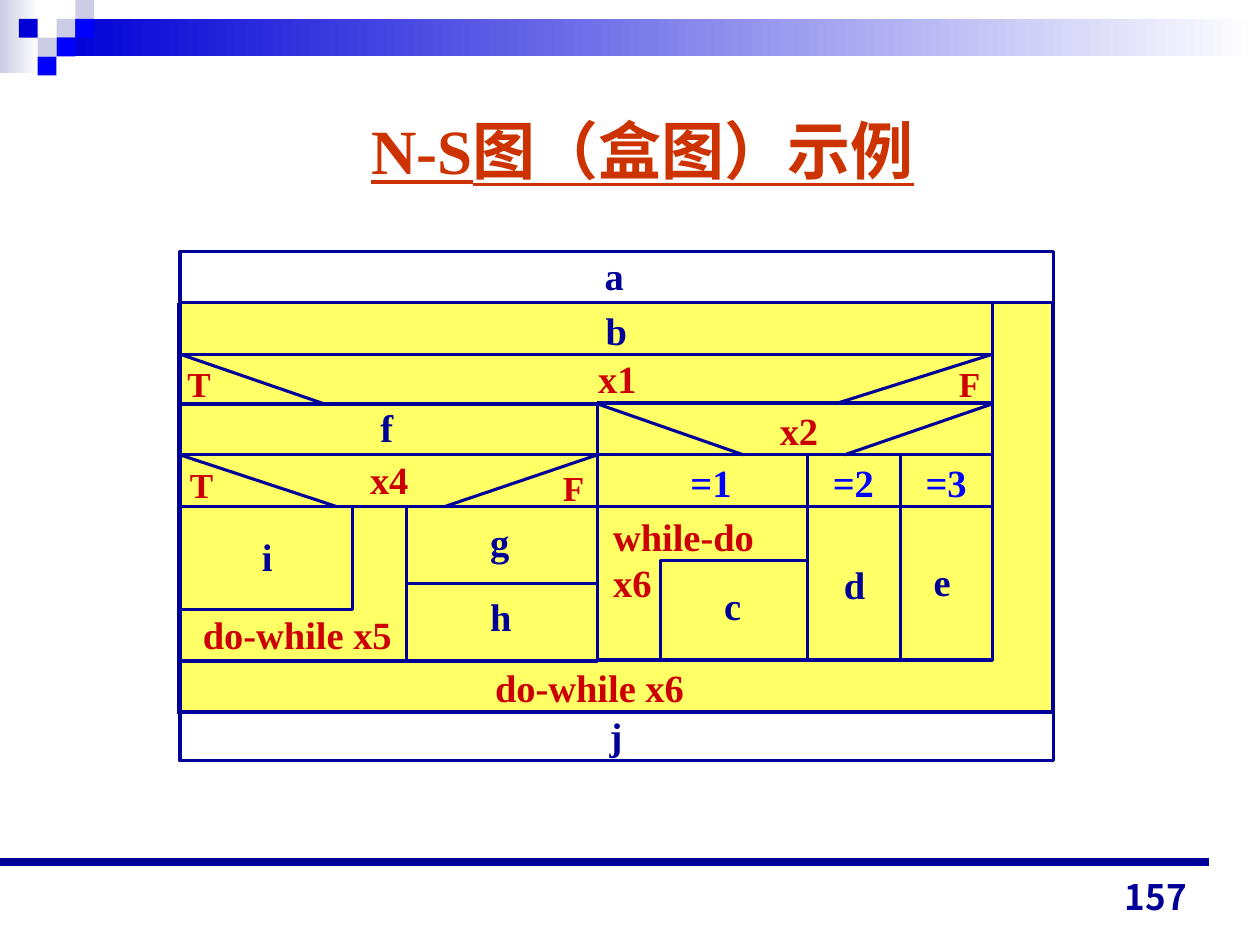
from typing import NamedTuple

from lxml.etree import SubElement
from pptx import Presentation
from pptx.dml.color import RGBColor
from pptx.enum.shapes import MSO_CONNECTOR, MSO_SHAPE
from pptx.enum.text import MSO_ANCHOR, MSO_AUTO_SIZE, PP_ALIGN
from pptx.oxml.ns import qn
from pptx.util import Cm, Pt

NAVY, RED, BLUE = "000099", "CC0000", "0000FF"
YELLOW, DEEP_BLUE, LAVENDER = "FFFF66", "0000D6", "CCCCE6"
SERIF, SANS = "Times New Roman", "Noto Sans CJK JP"
THIN, THICK = 0.75, 1.75
SQUARE = 0.38

LEFT, MIDDLE, INNER_RIGHT, RIGHT = 3.63, 12.04, 20.01, 21.23
TOP, ROW_B, ROW_X1, ROW_F, ROW_X4, ROW_G = 5.08, 6.10, 7.14, 8.14, 9.17, 10.21
INNER_BOTTOM, ROW_J, BOTTOM = 13.31, 14.35, 15.34
COLUMN_G, COLUMN_D, COLUMN_E = 8.20, 16.28, 18.16
ROW_H = 11.76


class Box(NamedTuple):
    left: float
    top: float
    right: float
    bottom: float
    fill: str | None = None
    weight: float = THICK


class Line(NamedTuple):
    start_x: float
    start_y: float
    end_x: float
    end_y: float
    weight: float = THICK


class Label(NamedTuple):
    lines: tuple[str, ...]
    left: float
    top: float
    width: float
    height: float = 1.19
    color: str = NAVY
    size: float = 22
    font: str = SERIF
    align: PP_ALIGN = PP_ALIGN.LEFT
    anchor: MSO_ANCHOR = MSO_ANCHOR.TOP
    wrap: bool = False
    underline: bool = False


def rgb(color: str) -> RGBColor:
    return RGBColor.from_string(color)


def add_rectangle(shapes, left: float, top: float, width: float, height: float):
    shape = shapes.add_shape(MSO_SHAPE.RECTANGLE, Cm(left), Cm(top), Cm(width), Cm(height))
    shape.shadow.inherit = False
    shape.line.fill.background()
    return shape


def add_gradient(shapes, left: float, top: float, width: float, height: float, color: str) -> None:
    shape = add_rectangle(shapes, left, top, width, height)
    shape.fill.gradient()
    shape.fill.gradient_angle = 0
    for stop, stop_color in zip(shape.fill.gradient_stops, (color, "FFFFFF")):
        stop.color.rgb = rgb(stop_color)


def add_square(shapes, column: int, row: int, color: str) -> None:
    shape = add_rectangle(shapes, column * SQUARE, row * SQUARE, SQUARE, SQUARE)
    shape.fill.solid()
    shape.fill.fore_color.rgb = rgb(color)


def add_box(shapes, box: Box) -> None:
    shape = add_rectangle(shapes, box.left, box.top, box.right - box.left, box.bottom - box.top)
    if box.fill:
        shape.fill.solid()
        shape.fill.fore_color.rgb = rgb(box.fill)
    else:
        shape.fill.background()
    shape.line.color.rgb = rgb(NAVY)
    shape.line.width = Pt(box.weight)


def add_line(shapes, line: Line) -> None:
    connector = shapes.add_connector(
        MSO_CONNECTOR.STRAIGHT, Cm(line.start_x), Cm(line.start_y), Cm(line.end_x), Cm(line.end_y)
    )
    connector.line.color.rgb = rgb(NAVY)
    connector.line.width = Pt(line.weight)
    SubElement(connector._element.spPr, qn("a:effectLst"))


def add_label(shapes, label: Label) -> None:
    shape = shapes.add_textbox(Cm(label.left), Cm(label.top), Cm(label.width), Cm(label.height))
    frame = shape.text_frame
    frame.word_wrap = label.wrap
    frame.vertical_anchor = label.anchor
    frame.auto_size = MSO_AUTO_SIZE.NONE
    if not label.wrap:
        frame.margin_right = Cm(0)
    for index, text in enumerate(label.lines):
        paragraph = frame.add_paragraph() if index else frame.paragraphs[0]
        paragraph.alignment = label.align
        run = paragraph.add_run()
        run.text = text
        run.font.name = label.font
        run.font.size = Pt(label.size)
        run.font.bold = True
        run.font.underline = label.underline
        run.font.color.rgb = rgb(label.color)
        SubElement(run._r.get_or_add_rPr(), qn("a:ea")).set("typeface", SANS)


SQUARES = [
    (3, 1, LAVENDER), (4, 0, LAVENDER), (4, 1, BLUE), (2, 2, LAVENDER),
    (1, 1, DEEP_BLUE), (3, 2, BLUE), (2, 3, BLUE),
]
BOXES = [
    Box(3.58, 6.12, 21.21, 14.38, YELLOW, THIN),
    Box(LEFT, 8.18, MIDDLE, 13.36, YELLOW, THIN),
    Box(MIDDLE, 8.10, INNER_RIGHT, 13.28, YELLOW, THIN),
    Box(LEFT, TOP, RIGHT, BOTTOM),
    Box(LEFT, ROW_B, INNER_RIGHT, INNER_BOTTOM),
    Box(LEFT, ROW_G, 7.11, 12.29),
    Box(13.31, 11.30, COLUMN_D, INNER_BOTTOM),
]
ROWS = [Line(LEFT, y, RIGHT, y) for y in (ROW_B, ROW_J)]
ROWS += [Line(LEFT, y, INNER_RIGHT, y) for y in (ROW_X1, ROW_F, ROW_X4, ROW_G)]
ROWS.append(Line(COLUMN_G, ROW_H, MIDDLE, ROW_H))
COLUMNS = [
    Line(x, y, x, INNER_BOTTOM)
    for x, y in ((MIDDLE, ROW_F), (COLUMN_D, ROW_X4), (COLUMN_E, ROW_X4), (COLUMN_G, ROW_G))
]
DIAGONALS = [
    Line(LEFT, ROW_X1, 6.53, ROW_F), Line(INNER_RIGHT, ROW_X1, 16.84, ROW_F),
    Line(MIDDLE, ROW_F, 14.99, ROW_X4), Line(INNER_RIGHT, ROW_F, 17.02, ROW_X4),
    Line(LEFT, ROW_X4, 6.78, ROW_G), Line(MIDDLE, ROW_X4, 8.97, ROW_G),
]
LABELS = [
    Label(("do-while x6",), 9.73, 13.26, 4.32, color=RED),
    Label(("a",), 11.94, 4.95, 0.89),
    Label(("b",), 11.96, 6.07, 0.94),
    Label(("x1",), 11.81, 7.04, 1.27, color=RED),
    Label(("T",), 3.53, 7.19, 0.97, 1.12, RED, 20),
    Label(("T",), 3.58, 9.22, 0.97, 1.12, RED, 20),
    Label(("F",), 19.08, 7.19, 0.94, 1.12, RED, 20),
    Label(("F",), 11.10, 9.27, 0.94, 1.12, RED, 20),
    Label(("x2",), 15.47, 8.08, 1.27, color=RED),
    Label(("x4",), 7.21, 9.07, 1.27, color=RED),
    Label(("f",), 7.42, 8.03, 0.76),
    Label(("=1",), 13.67, 9.12, 1.32, color=BLUE),
    Label(("=2",), 16.54, 9.12, 1.32, color=BLUE),
    Label(("=3",), 18.41, 9.12, 1.32, color=BLUE),
    Label(("g",), 9.63, 10.31, 0.89),
    Label(("i",), 5.03, 10.62, 0.71),
    Label(("do-while x5",), 3.84, 12.19, 4.32, color=RED),
    Label(("h",), 9.63, 11.84, 0.94),
    Label(("d",), 16.76, 11.18, 0.94),
    Label(("e",), 18.57, 11.13, 0.84),
    Label(("c",), 14.35, 11.61, 0.84),
    Label(("while-do", "x6"), 12.11, 10.21, 3.53, 2.13, RED),
    Label(("j",), 12.04, 14.22, 0.76),
]
TITLE = Label(("N-S图（盒图）示例",), 6.71, 2.13, 11.96, 1.78, "CC3300", 36,
              align=PP_ALIGN.RIGHT, wrap=True, underline=True)
PAGE_NUMBER = Label(("157",), 18.26, 17.35, 5.92, 1.27, NAVY, 20, SANS,
                    PP_ALIGN.RIGHT, MSO_ANCHOR.BOTTOM, True)


def main() -> None:
    presentation = Presentation()
    presentation.slide_width, presentation.slide_height = Cm(25.4), Cm(19.05)
    slide = presentation.slides.add_slide(presentation.slide_layouts[6])
    add_gradient(slide.shapes, 0, 0, 0.79, 1.47, LAVENDER)
    add_gradient(slide.shapes, 1.14, 0.38, 24.26, 0.76, DEEP_BLUE)
    for column, row, color in SQUARES:
        add_square(slide.shapes, column, row, color)
    add_line(slide.shapes, Line(0, 17.37, 24.38, 17.37, 4.5))
    add_label(slide.shapes, TITLE)
    diagram = slide.shapes.add_group_shape().shapes
    for box in BOXES:
        add_box(diagram, box)
    for line in ROWS + COLUMNS + DIAGONALS:
        add_line(diagram, line)
    for label in LABELS:
        add_label(diagram, label)
    add_label(slide.shapes, PAGE_NUMBER)
    presentation.save("out.pptx")


if __name__ == "__main__":
    main()
